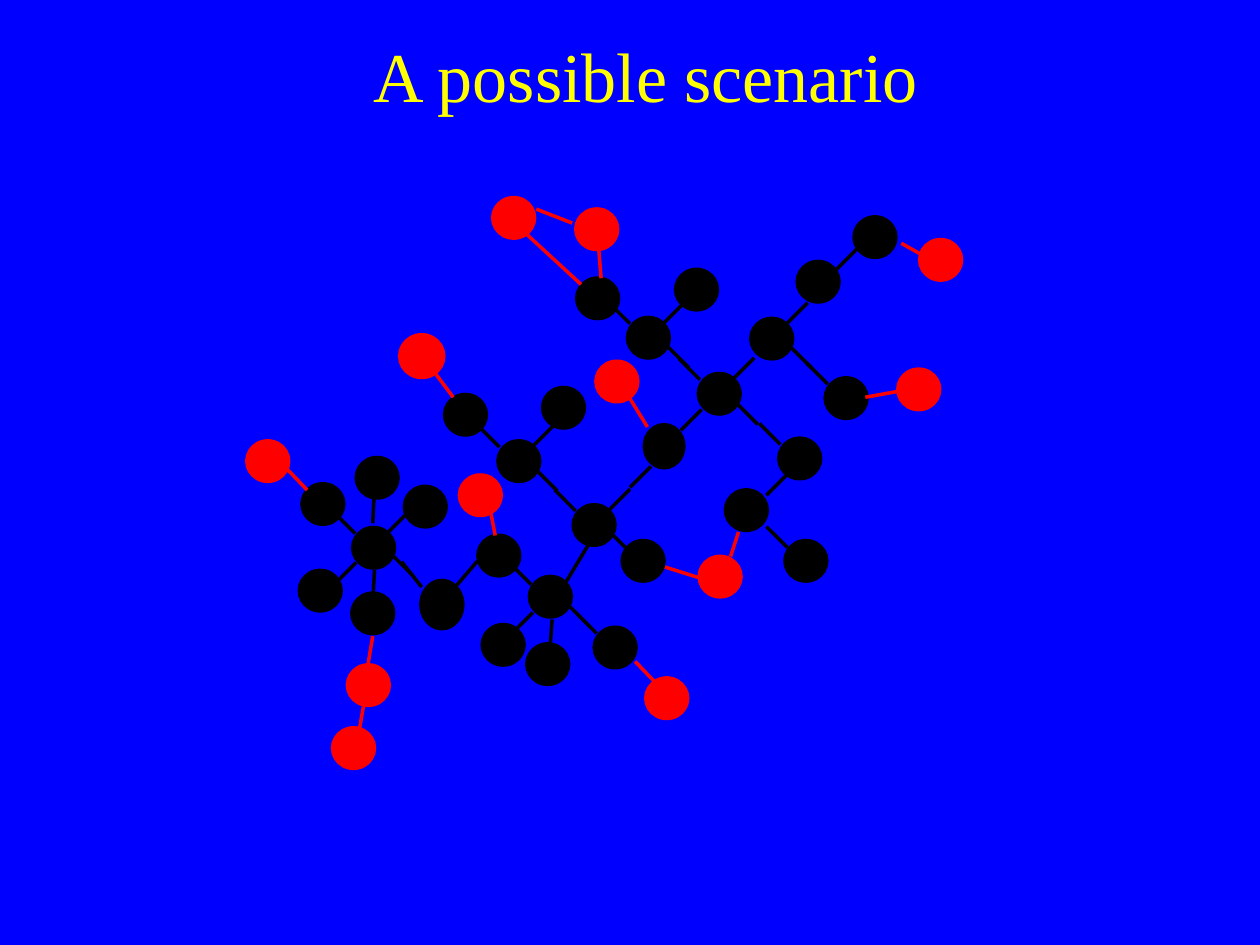
from dataclasses import dataclass

from lxml import etree
from pptx import Presentation
from pptx.dml.color import RGBColor
from pptx.enum import shapes, text
from pptx.oxml import ns
from pptx.util import Pt


@dataclass(frozen=True)
class Theme:
    background: RGBColor = RGBColor(0x00, 0x00, 0xFF)
    title: RGBColor = RGBColor(0xFF, 0xFF, 0x00)
    core: RGBColor = RGBColor(0x00, 0x00, 0x00)
    added: RGBColor = RGBColor(0xFF, 0x00, 0x00)
    font: str = "Times New Roman"
    title_size: float = 40
    outline: float = 0.75
    bond: float = 2


THEME = Theme()
ATOM = (25.2, 24.4)
STEP = 12  # width and height of a standard diagonal bond

# Atoms are centres, bonds are end points, in points from the molecule's corner.
CORE_ATOMS = [
    (145, 205.5), (199.5, 188), (230.5, 81), (301, 81.5), (317, 150),
    (73.5, 201), (227.5, 208.5), (286.5, 179.5), (327.5, 49), (343.5, 115.5),
    (211.5, 258), (174.5, 229), (271, 113), (156.5, 151.5), (320.5, 208.5),
    (360, 23.5), (75.5, 161), (201.5, 58.5), (126, 125), (182, 121),
    (173, 267.5), (43, 225.5), (258, 53.5), (44.5, 176), (73, 238.5),
    (103, 177.5), (147.5, 256.5),
]
TALL_ATOMS = [((112.5, 233.5), (25.2, 28.8)), ((239.5, 143), (23.8, 25.9))]
ADDED_ATOMS = [
    (13, 151.5), (397.5, 36.5), (385, 110.5), (271.5, 217.5), (241, 287),
    (212.5, 106), (134.5, 171), (153.5, 12.5), (201, 19), (70.5, 279.5),
    (62, 315.5),
]
HEAVY_ATOM = (101, 91.5)

FALLING_STARTS = [
    (177, 168), (210, 193.5), (208, 61), (241.5, 86), (312, 86.5),
    (294, 130), (51, 181), (84.5, 205.5), (221.5, 205.5), (321, 95.5),
    (189, 238), (151.5, 210), (185.5, 234.5), (248, 93), (281, 118.5),
    (133.5, 131.5), (166.5, 156.5), (298, 189),
]
RISING_STARTS = [
    (208, 179.5), (239.5, 72.5), (309.5, 73), (51.5, 221.5), (82, 192),
    (298, 171), (338, 42), (152.5, 250), (249, 134), (279, 104.5),
    (220, 166.5), (164.5, 143),
]
OTHER_CORE_BONDS = [
    (73, 233.5, 74, 213.5), (73, 187, 74, 166.5), (198.5, 195.5, 183.5, 220.5),
    (174, 262.5, 175.5, 242), (101, 223.5, 89.5, 209), (133, 208.5, 120.5, 223),
]
ADDED_BONDS = [
    (219.5, 115, 230, 132), (24, 156, 35.5, 168), (375, 27, 395.5, 38.5),
    (354.5, 115, 388, 109), (240, 212, 259, 218), (282, 192, 277.5, 206),
    (223, 266, 234.5, 278), (139.5, 176, 143, 194), (202, 28.5, 203.5, 47),
    (160, 21, 192, 50.5), (166.5, 7.5, 187, 15.5), (73, 251.5, 70, 269.5),
    (68, 290, 65, 307), (108.5, 101, 119, 115),
]


def add_title(slide, box, words):
    sp = slide.shapes.title
    sp.left, sp.top, sp.width, sp.height = (Pt(v) for v in box)
    tf = sp.text_frame
    tf.text = words
    tf.vertical_anchor = text.MSO_ANCHOR.MIDDLE
    p = tf.paragraphs[0]
    p.alignment = text.PP_ALIGN.CENTER
    p.font.name = THEME.font
    p.font.size = Pt(THEME.title_size)
    p.font.color.rgb = THEME.title


def add_atom(slide, origin, centre, color, size=ATOM, outline=THEME.outline):
    left, top = (o + c - d / 2 for o, c, d in zip(origin, centre, size))
    sp = slide.shapes.add_shape(shapes.MSO_SHAPE.OVAL, Pt(left), Pt(top),
                                Pt(size[0]), Pt(size[1]))
    sp.shadow.inherit = False
    sp.fill.solid()
    sp.fill.fore_color.rgb = color
    sp.line.color.rgb = color
    sp.line.width = Pt(outline)


def add_bond(slide, origin, ends, color):
    x, y = origin
    x1, y1, x2, y2 = ends
    line = slide.shapes.add_connector(shapes.MSO_CONNECTOR.STRAIGHT, Pt(x + x1),
                                      Pt(y + y1), Pt(x + x2), Pt(y + y2))
    line.line.color.rgb = color
    line.line.width = Pt(THEME.bond)
    etree.SubElement(line._element.spPr, ns.qn("a:effectLst"))


def add_molecule(slide, origin):
    """Draw the core structure, then the added groups over it."""
    falling = [(x, y, x + STEP, y + STEP) for x, y in FALLING_STARTS]
    rising = [(x, y, x + STEP, y - STEP) for x, y in RISING_STARTS]
    layers = [
        (falling + rising + OTHER_CORE_BONDS, CORE_ATOMS, THEME.core),
        (ADDED_BONDS, ADDED_ATOMS, THEME.added),
    ]
    for bonds, atoms, color in layers:
        for ends in bonds:
            add_bond(slide, origin, ends, color)
        for centre in atoms:
            add_atom(slide, origin, centre, color)
    for centre, size in TALL_ATOMS:
        add_atom(slide, origin, centre, THEME.core, size)
    add_atom(slide, origin, HEAVY_ATOM, THEME.added, outline=THEME.bond)


def main():
    prs = Presentation()
    prs.slide_width, prs.slide_height = Pt(720), Pt(540)
    slide = prs.slides.add_slide(prs.slide_layouts[5])
    slide.background.fill.solid()
    slide.background.fill.fore_color.rgb = THEME.background
    add_title(slide, (63, 13.5, 612, 58.5), "A possible scenario")
    add_molecule(slide, (140, 112))
    prs.save("out.pptx")


if __name__ == "__main__":
    main()
